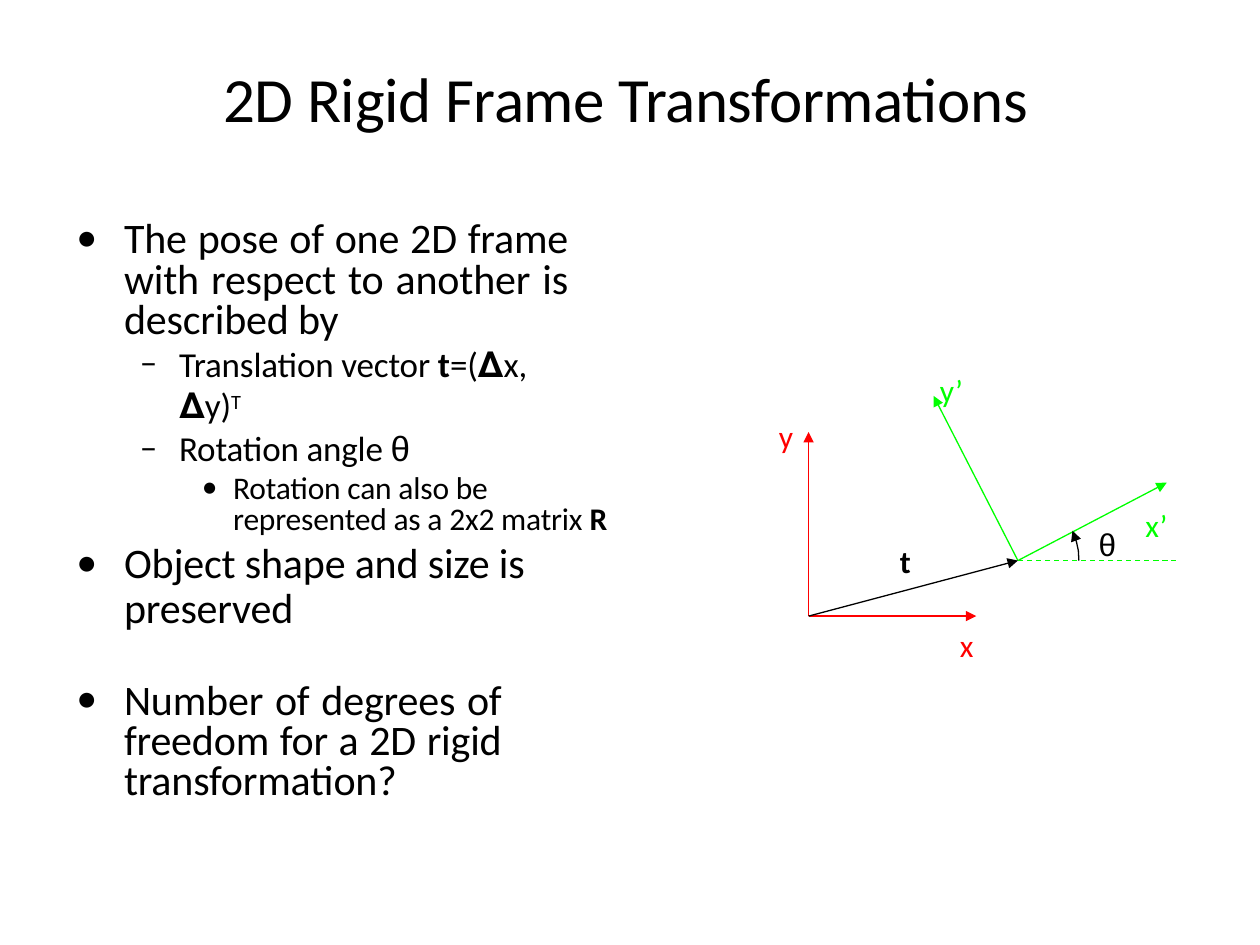
"""Build a slide on 2D rigid frame transformations with a frame diagram."""
from dataclasses import dataclass

from lxml.etree import SubElement
from pptx import Presentation
from pptx.dml.color import RGBColor
from pptx.enum.dml import MSO_LINE
from pptx.enum.shapes import MSO_CONNECTOR
from pptx.enum.text import MSO_ANCHOR, MSO_AUTO_SIZE, PP_ALIGN
from pptx.oxml.ns import qn
from pptx.util import Cm, Pt


@dataclass(frozen=True)
class Theme:
    font: str = "Calibri"
    greek: str = "Arial"
    black: RGBColor = RGBColor(0, 0, 0)
    red: RGBColor = RGBColor(255, 0, 0)
    green: RGBColor = RGBColor(0, 255, 0)
    title: float = 36
    levels: tuple = (24, 20, 18)
    label: float = 18
    line: float = 0.75


theme = Theme()


def write(p, text, size, color=theme.black, font=theme.font, bold=False,
          baseline=0, spacing=-10):
    r = p.add_run()
    r.text = text
    r.font.size = Pt(size)
    r.font.name = font
    r.font.bold = bold
    r.font.color.rgb = color
    rPr = r.font._element
    rPr.set("spc", str(spacing))
    if baseline:
        rPr.set("baseline", str(baseline))


def draw_line(sp, color, arrow=True, dash=False):
    sp.line.color.rgb = color
    sp.line.width = Pt(theme.line)
    if dash:
        sp.line.dash_style = MSO_LINE.DASH
    spPr = sp._element.spPr
    if arrow:
        SubElement(spPr.find(qn("a:ln")), qn("a:tailEnd"), type="triangle")
    SubElement(spPr, qn("a:effectLst"))


prs = Presentation()
prs.slide_width, prs.slide_height = Cm(25.4), Cm(19.05)
s = prs.slides.add_slide(prs.slide_layouts.get_by_name("Comparison"))
title, pose, preserved, question, spare = s.placeholders
spare._element.getparent().remove(spare._element)

frames = [
    (title, 3.5, 1.19, 18.42, 1.35),
    (pose, 1.5, 4.47, 10.9, 5.66),
    (preserved, 1.5, 10.92, 9.3, 1.78),
    (question, 1.5, 13.77, 8.61, 2.59),
]
labels = [
    ("t", 18.14, 10.92, 0.4, theme.black, theme.font, True),
    ("x", 19.35, 12.62, 0.4, theme.red, theme.font, False),
    ("y", 15.7, 8.41, 0.4, theme.red, theme.font, False),
    ("x’", 23.09, 10.21, 0.6, theme.green, theme.font, False),
    ("y’", 18.95, 7.47, 0.6, theme.green, theme.font, False),
    ("θ", 22.15, 10.59, 0.45, theme.black, theme.greek, False),
]
for text, x, y, width, color, font, bold in labels:
    sp = s.shapes.add_textbox(0, 0, 0, 0)
    frames.append((sp, x, y, width, 0.71))
    write(sp.text_frame.paragraphs[0], text, theme.label, color=color,
          font=font, bold=bold, spacing=0)

for sp, x, y, width, height in frames:
    sp.left, sp.top, sp.width, sp.height = Cm(x), Cm(y), Cm(width), Cm(height)
    tf = sp.text_frame
    tf.margin_left = tf.margin_top = tf.margin_right = tf.margin_bottom = 0
    tf.auto_size = MSO_AUTO_SIZE.NONE
    tf.vertical_anchor = MSO_ANCHOR.TOP
    tf.word_wrap = True

p = title.text_frame.paragraphs[0]
p.alignment = PP_ALIGN.LEFT
p._p.get_or_add_pPr().set("marL", str(Cm(1)))
write(p, "2D Rigid Frame Transformations", theme.title, spacing=-20)

bullets = [("•", 1, -0.96), ("–", 2.11, -0.79), ("•", 3.2, -0.63)]
left, justify = PP_ALIGN.LEFT, PP_ALIGN.JUSTIFY
items = [
    (pose, 0, justify, 0.8, 0, 0.95,
     [("The pose of one 2D frame with respect to another is described by", {})]),
    (pose, 1, left, Pt(23.5), 0.1, 0.95,
     [("Translation vector ", {}), ("t", {"bold": True}), ("=(𝚫x, 𝚫y)", {}),
      ("T", {"baseline": 26000})]),
    (pose, 1, left, Pt(24.6), 0, 0,
     [("Rotation angle ", {}), ("θ", {"font": theme.greek})]),
    (pose, 2, left, 0.8, 4.2, 0,
     [("Rotation can also be represented as a 2x2 matrix ", {}),
      ("R", {"bold": True})]),
    (preserved, 0, left, Pt(25.9), 0, 0,
     [("Object shape and size is preserved", {})]),
    (question, 0, justify, 0.8, 0, 0,
     [("Number of degrees of freedom for a 2D rigid transformation?", {})]),
]
for sp, level, align, spacing, before, right, runs in items:
    tf = sp.text_frame
    p = tf.add_paragraph() if tf.text else tf.paragraphs[0]
    p.level, p.alignment = level, align
    p.line_spacing, p.space_before, p.space_after = spacing, Pt(before), Pt(0)
    char, margin, indent = bullets[level]
    pPr = p._p.get_or_add_pPr()
    pPr.set("marL", str(Cm(margin)))
    pPr.set("marR", str(Cm(right)))
    pPr.set("indent", str(Cm(indent)))
    SubElement(pPr, qn("a:buFont"), typeface=theme.font)
    SubElement(pPr, qn("a:buChar"), char=char)
    for text, fmt in runs:
        write(p, text, theme.levels[level], **fmt)

origin, moved = (16.3, 12.42), (20.52, 11.3)
lines = [
    (origin, (16.3, 8.71), theme.red, True),
    (origin, (19.68, 12.42), theme.red, True),
    (moved, (18.82, 7.98), theme.green, True),
    (moved, (23.52, 9.73), theme.green, True),
    (origin, moved, theme.black, True),
    (moved, (23.7, 11.3), theme.green, False),
]
for start, end, color, solid in lines:
    sp = s.shapes.add_connector(MSO_CONNECTOR.STRAIGHT,
                                *(Cm(v) for v in start + end))
    draw_line(sp, color, arrow=solid, dash=not solid)

arc = [(21.75, 11.3), (21.74, 11.1), (21.7, 10.92), (21.62, 10.7)]
(x, y), *rest = [(Cm(x), Cm(y)) for x, y in arc]
builder = s.shapes.build_freeform(x, y)
builder.add_line_segments(rest, close=False)
sp = builder.convert_to_shape()
sp.fill.background()
draw_line(sp, theme.black)

prs.save("out.pptx")
